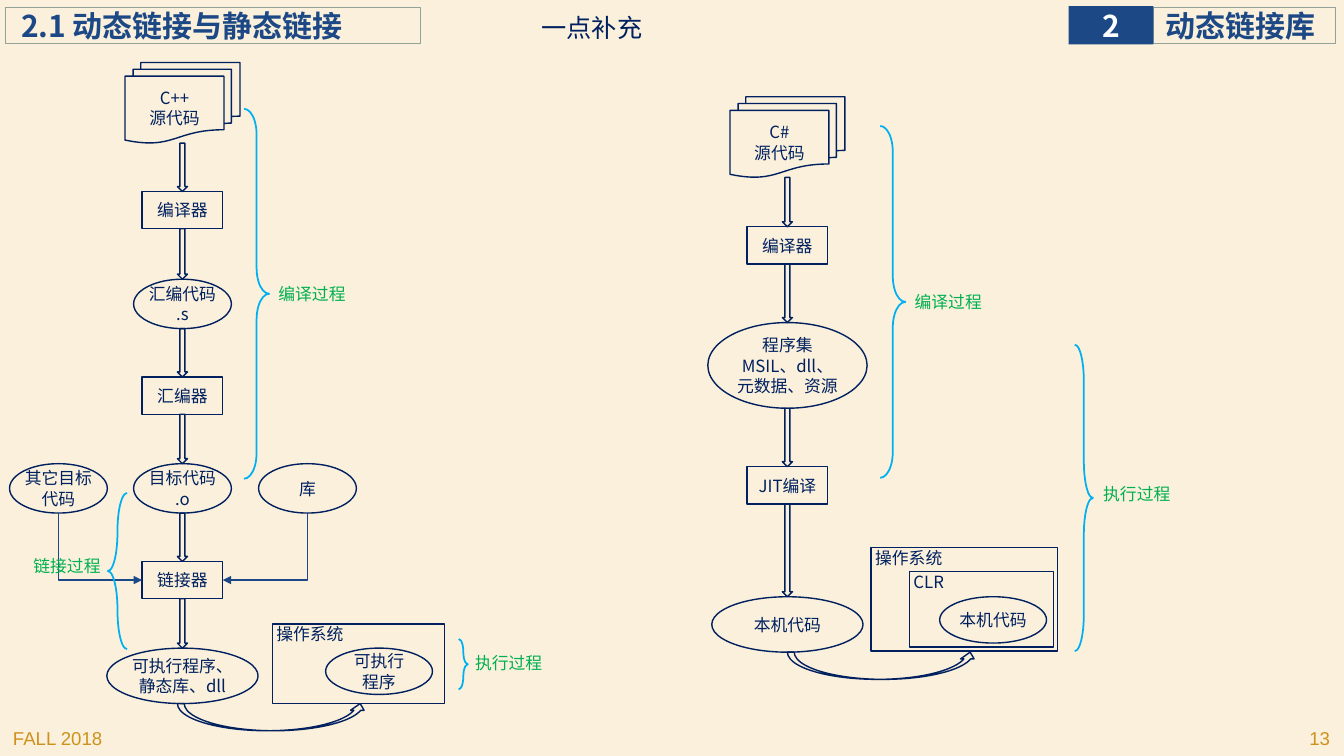
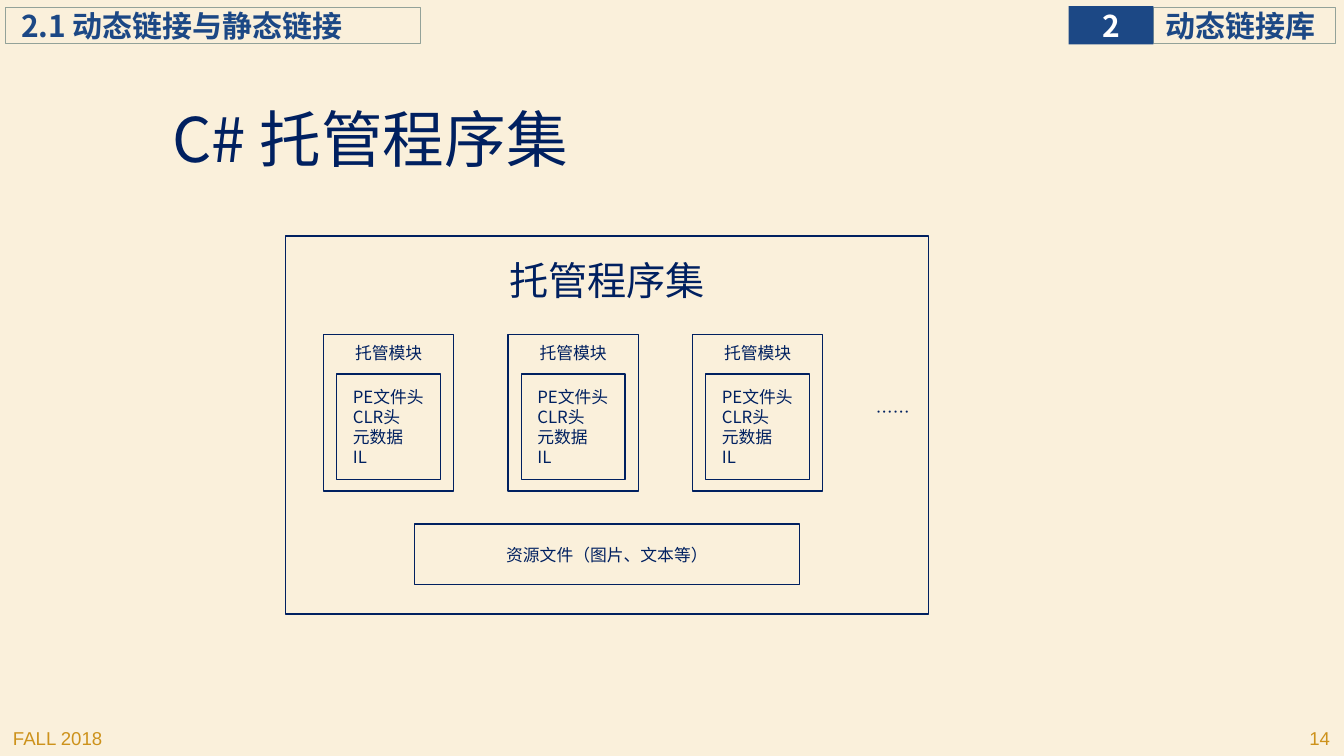
from dataclasses import dataclass
from itertools import pairwise

from lxml.etree import SubElement
from pptx import Presentation
from pptx.dml.color import RGBColor
from pptx.enum.shapes import MSO_CONNECTOR, MSO_SHAPE
from pptx.enum.text import MSO_ANCHOR, PP_ALIGN
from pptx.oxml.ns import qn
from pptx.shapes.autoshape import Shape
from pptx.slide import Slide
from pptx.util import Inches, Pt


@dataclass(frozen=True)
class Theme:
    paper: str = "FAF0DB"
    ink: str = "002060"
    heading: str = "1C4885"
    heading_line: str = "93A299"
    footer: str = "CD921B"
    brace: str = "00B0F0"
    phase: str = "00B050"
    white: str = "FFFFFF"
    font: str = "Noto Sans CJK SC"
    footer_font: str = "Arial"
    body_size: float = 12
    footer_size: float = 13.3
    topic_size: float = 18
    heading_size: float = 21.4
    frame_size: float = 28
    title_size: float = 44


THEME = Theme()


@dataclass(frozen=True)
class Box:
    left: float
    top: float
    width: float
    height: float

    @property
    def bottom(self) -> float:
        return self.top + self.height

    @property
    def center(self) -> float:
        return self.left + self.width / 2

    def lengths(self) -> list[Inches]:
        return [Inches(value) for value in (self.left, self.top, self.width, self.height)]


@dataclass(frozen=True)
class Step:
    """One stage of a build flow, centred on the flow's axis."""
    kind: MSO_SHAPE
    text: str
    top: float
    width: float
    height: float

    def box(self, axis: float) -> Box:
        return Box(axis - self.width / 2, self.top, self.width, self.height)


@dataclass(frozen=True)
class Phase:
    """A brace that spans some steps, and its label."""
    text: str
    brace: Box
    label: Box
    curve: float = 2.0
    opens_left: bool = True


def source_file(text: str, top: float) -> Step:
    return Step(MSO_SHAPE.FLOWCHART_MULTIDOCUMENT, text, top, 1.14, 0.8)


def tool(text: str, top: float) -> Step:
    return Step(MSO_SHAPE.RECTANGLE, text, top, 0.8, 0.37)


def product(text: str, top: float, width: float = 0.97, height: float = 0.49) -> Step:
    return Step(MSO_SHAPE.OVAL, text, top, width, height)


CPP_AXIS, CSHARP_AXIS = 1.81, 7.81
CPP_STEPS = [
    source_file("C++\n源代码", 0.62),
    tool("编译器", 1.9),
    product("汇编代码\n.s", 2.77),
    tool("汇编器", 3.74),
    product("目标代码\n.o", 4.6),
    tool("链接器", 5.57),
    product("可执行程序、静态库、dll", 6.43, 1.5, 0.55),
]
CSHARP_STEPS = [
    source_file("C#\n源代码", 0.96),
    tool("编译器", 2.25),
    product("程序集\nMSIL、dll、\n元数据、资源", 3.2, 1.58, 0.85),
    tool("JIT编译", 4.63),
    product("本机代码", 5.92, 1.5, 0.55),
]
PHASES = [
    Phase("编译过程", Box(2.42, 1.08, 0.25, 3.67), Box(2.46, 2.77, 1.27, 0.3), 1.02),
    Phase("链接过程", Box(1.07, 4.89, 0.19, 1.55), Box(0.03, 5.46, 1.27, 0.3), opens_left=False),
    Phase("执行过程", Box(4.55, 6.34, 0.09, 0.5), Box(4.41, 6.43, 1.27, 0.3)),
    Phase("编译过程", Box(8.73, 1.25, 0.25, 3.49), Box(8.77, 2.85, 1.27, 0.3), 1.02),
    Phase("执行过程", Box(10.66, 3.42, 0.18, 3.04), Box(10.64, 4.75, 1.27, 0.3)),
]


def write(shape: Shape, text: str, *, size: float = THEME.body_size, color: str = THEME.ink,
          font: str = THEME.font, bold: bool = False, align: PP_ALIGN = PP_ALIGN.CENTER,
          anchor: MSO_ANCHOR = MSO_ANCHOR.MIDDLE, left: float = 0, top: float = 0,
          margin: float = 0, spacing: float | None = None) -> None:
    """Fill a shape with text, one paragraph per line; left and top override margin."""
    frame = shape.text_frame
    frame.word_wrap = True
    frame.vertical_anchor = anchor
    frame.margin_left, frame.margin_top = Inches(left or margin), Inches(top or margin)
    frame.margin_right = frame.margin_bottom = Inches(margin)
    for index, line in enumerate(text.split("\n")):
        para = frame.add_paragraph() if index else frame.paragraphs[0]
        para.alignment = align
        if spacing:
            para.line_spacing = spacing
        span = para.add_run()
        span.text = line
        span.font.size = Pt(size)
        span.font.bold = bold
        span.font.color.rgb = RGBColor.from_string(color)
        span.font.name = font
        SubElement(span._r.get_or_add_rPr(), qn("a:ea"), typeface=font)


def draw(page: Slide, kind: MSO_SHAPE, box: Box, *, fill: str | None = None,
         line: str | None = THEME.ink, weight: float = 1) -> Shape:
    shape = page.shapes.add_shape(kind, *box.lengths())
    shape.shadow.inherit = False
    if fill:
        shape.fill.solid()
        shape.fill.fore_color.rgb = RGBColor.from_string(fill)
    else:
        shape.fill.background()
    if line:
        shape.line.color.rgb = RGBColor.from_string(line)
        shape.line.width = Pt(weight)
    else:
        shape.line.fill.background()
    return shape


def add_label(page: Slide, text: str, box: Box, **text_format) -> None:
    label = page.shapes.add_textbox(*box.lengths())
    write(label, text, **{"margin": 0.05, "anchor": MSO_ANCHOR.TOP, **text_format})


def add_panel(page: Slide, text: str, box: Box, **text_format) -> None:
    """Draw an outlined rectangle with its caption at the top."""
    panel = draw(page, MSO_SHAPE.RECTANGLE, box)
    write(panel, text, anchor=MSO_ANCHOR.TOP, **text_format)


def add_step(page: Slide, step: Step, axis: float) -> Box:
    box = step.box(axis)
    write(draw(page, step.kind, box), step.text)
    return box


def add_flow(page: Slide, steps: list[Step], axis: float) -> list[Box]:
    """Draw steps down an axis, with a block arrow in each gap and a curved one at the end."""
    boxes = [add_step(page, step, axis) for step in steps]
    for upper, lower in pairwise(boxes):
        gap = Box(axis - 0.05, upper.bottom, 0.1, lower.top - upper.bottom)
        draw(page, MSO_SHAPE.DOWN_ARROW, gap)
    return boxes


def add_phase(page: Slide, phase: Phase) -> None:
    brace = draw(page, MSO_SHAPE.LEFT_BRACE, phase.brace, line=THEME.brace, weight=1.25)
    brace.adjustments[0] = phase.curve
    brace.adjustments[1] = 0.5
    if phase.opens_left:
        brace._element.spPr.find(qn("a:xfrm")).set("flipH", "1")
    add_label(page, phase.text, phase.label, color=THEME.phase)


def add_elbow(page: Slide, tip: tuple[float, float], tail: tuple[float, float]) -> None:
    """Draw a one-bend line that leaves the tail vertically and ends in an arrowhead."""
    points = [Inches(value) for value in (*tip, *tail)]
    elbow = page.shapes.add_connector(MSO_CONNECTOR.ELBOW, *points)
    elbow.line.color.rgb = RGBColor.from_string(THEME.heading)
    elbow.line.width = Pt(1.25)
    properties = elbow._element.spPr
    properties.find(qn("a:prstGeom")).set("prst", "bentConnector2")
    SubElement(properties.find(qn("a:ln")), qn("a:headEnd"), type="triangle")
    SubElement(properties, qn("a:effectLst"))


def add_page(deck: Presentation, number: int) -> Slide:
    """Add a blank page with the shared header and footer."""
    page = deck.slides.add_slide(deck.slide_layouts[6])
    for text, left, align in (("FALL 2018", 0.03, PP_ALIGN.LEFT),
                              (str(number), 10.51, PP_ALIGN.RIGHT)):
        add_label(page, text, Box(left, 7.16, 2.78, 0.31), size=THEME.footer_size, left=0.1,
                  margin=0.1, top=0.05, color=THEME.footer, font=THEME.footer_font, align=align)
    heading = {"size": THEME.heading_size, "bold": True}
    for text, box, inset in (("动态链接库", Box(11.44, 0.07, 1.81, 0.36), 0.12),
                             ("2.1 动态链接与静态链接", Box(0.05, 0.07, 4.12, 0.36), 0.16)):
        band = draw(page, MSO_SHAPE.RECTANGLE, box, line=THEME.heading_line, weight=0.75)
        write(band, text, color=THEME.heading, align=PP_ALIGN.LEFT, left=inset, **heading)
    badge = draw(page, MSO_SHAPE.RECTANGLE, Box(10.6, 0.06, 0.84, 0.38),
                 fill=THEME.heading, line=None)
    write(badge, "2", color=THEME.white, **heading)
    return page


def build_flows(deck: Presentation) -> None:
    page = add_page(deck, 13)
    add_label(page, "一点补充", Box(4.95, 0.07, 1.84, 0.4), size=THEME.topic_size)

    cpp_boxes = add_flow(page, CPP_STEPS, CPP_AXIS)
    linker = cpp_boxes[5]
    linker_middle = linker.top + linker.height / 2
    for text, axis, side in (("其它目标代码", 0.58, linker.left),
                             ("库", 3.05, linker.left + linker.width)):
        extra_input = add_step(page, product(text, 4.6), axis)
        add_elbow(page, (side, linker_middle), (axis, extra_input.bottom))
    csharp_boxes = add_flow(page, CSHARP_STEPS, CSHARP_AXIS)

    for last, left in ((cpp_boxes[-1], 1.76), (csharp_boxes[-1], 7.81)):
        draw(page, MSO_SHAPE.CURVED_UP_ARROW, Box(left, last.bottom, 1.88, 0.27))
    for text, box in (("操作系统", Box(2.7, 6.19, 1.71, 0.79)),
                      ("操作系统", Box(8.64, 5.43, 1.85, 1.03)),
                      ("CLR", Box(9.02, 5.67, 1.43, 0.75))):
        add_panel(page, text, box, align=PP_ALIGN.LEFT, left=0.04)
    for text, top, axis in (("可执行\n程序", 6.43, 3.76), ("本机代码", 5.92, 9.85)):
        add_step(page, product(text, top, 1.06, 0.46), axis)
    for phase in PHASES:
        add_phase(page, phase)


def build_assembly(deck: Presentation) -> None:
    page = add_page(deck, 14)
    add_label(page, "C# 托管程序集", Box(1.63, 1.03, 5.35, 0.76), size=THEME.title_size,
              align=PP_ALIGN.LEFT, anchor=MSO_ANCHOR.MIDDLE, left=0.08, margin=0.04, spacing=0.9)
    add_panel(page, "托管程序集", Box(2.83, 2.34, 6.38, 3.75), size=THEME.frame_size, top=0.2)
    for column in range(3):
        left = 3.21 + column * 1.83
        add_panel(page, "托管模块", Box(left, 3.32, 1.29, 1.55), top=0.08)
        content = draw(page, MSO_SHAPE.RECTANGLE, Box(left + 0.13, 3.71, 1.03, 1.05))
        write(content, "PE文件头\nCLR头\n元数据\nIL", align=PP_ALIGN.LEFT, left=0.16)
    add_label(page, "……", Box(8.17, 3.94, 1.37, 0.3))
    resources = draw(page, MSO_SHAPE.RECTANGLE, Box(4.11, 5.2, 3.82, 0.6))
    write(resources, "资源文件（图片、文本等）")


def main() -> None:
    deck = Presentation()
    deck.slide_width, deck.slide_height = Inches(13.33), Inches(7.5)
    background = deck.slide_master.background.fill
    background.solid()
    background.fore_color.rgb = RGBColor.from_string(THEME.paper)
    build_flows(deck)
    build_assembly(deck)
    deck.save("out.pptx")


if __name__ == "__main__":
    main()
